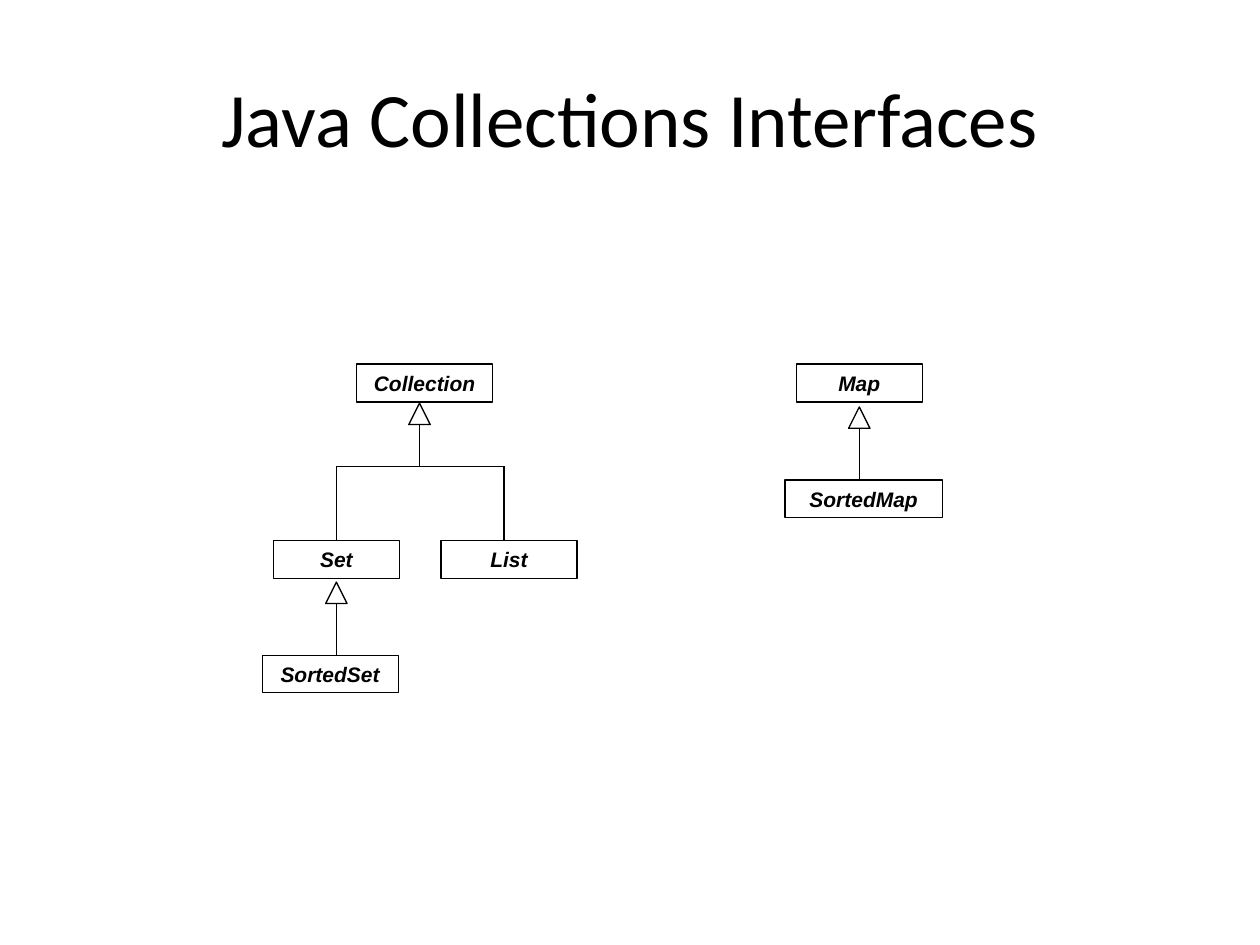
from lxml import etree
from pptx import Presentation
from pptx.dml.color import RGBColor
from pptx.enum.shapes import MSO_CONNECTOR, MSO_SHAPE
from pptx.enum.text import MSO_ANCHOR, MSO_AUTO_SIZE, PP_ALIGN
from pptx.oxml.ns import qn
from pptx.util import Inches, Pt

RECTANGLE = MSO_SHAPE.RECTANGLE
TRIANGLE = MSO_SHAPE.ISOSCELES_TRIANGLE
STRAIGHT = MSO_CONNECTOR.STRAIGHT
CENTER = PP_ALIGN.CENTER
MIDDLE = MSO_ANCHOR.MIDDLE
GROW = MSO_AUTO_SIZE.SHAPE_TO_FIT_TEXT

COLORS = {"ink": "000000"}
INK = RGBColor.from_string(COLORS["ink"])
TITLE_FONT = {"name": "Calibri", "size": Pt(44)}
LABEL_FONT = {"name": "Arial", "size": Pt(12), "bold": True, "italic": True}
BOX_HEIGHT = 0.3
HEAD_SIZE = 0.17


def write_text(shape, text, font_values):
    frame = shape.text_frame
    frame.word_wrap = True
    frame.vertical_anchor = MIDDLE
    paragraph = frame.paragraphs[0]
    paragraph.alignment = CENTER
    run = paragraph.add_run()
    run.text = text
    run.font.color.rgb = INK
    for name, value in font_values.items():
        setattr(run.font, name, value)


def add_outline(kind, left, top, width, height, weight=0.75):
    """Add an unfilled shape with a thin line and no shadow."""
    shape = slide.shapes.add_shape(
        kind, Inches(left), Inches(top), Inches(width), Inches(height))
    shape.shadow.inherit = False
    shape.fill.background()
    shape.line.color.rgb = INK
    shape.line.width = Pt(weight)
    return shape


presentation = Presentation()
presentation.slide_width = Inches(10)
presentation.slide_height = Inches(7.5)
slide = presentation.slides.add_slide(presentation.slide_layouts[5])

title = slide.shapes.title
title.left, title.top = Inches(0.5), Inches(0.3)
title.width, title.height = Inches(9), Inches(1.25)
write_text(title, "Java Collections Interfaces", TITLE_FONT)

# Interface boxes: name, left, top, width, line weight
interfaces = [
    ("Collection", 2.83, 2.89, 1.08, 0.75),
    ("Set", 2.17, 4.29, 1, 0.75),
    ("List", 3.5, 4.29, 1.08, 0.75),
    ("SortedSet", 2.08, 5.2, 1.08, 0.5),
    ("Map", 6.32, 2.89, 1, 0.75),
    ("SortedMap", 6.23, 3.81, 1.25, 0.75),
]
boxes = {}
for name, left, top, width, weight in interfaces:
    box = add_outline(RECTANGLE, left, top, width, BOX_HEIGHT, weight)
    write_text(box, name, LABEL_FONT)
    box.text_frame.auto_size = GROW
    boxes[name] = box

# Inheritance arrows: centre, top of the hollow head, bottom of the stem
lines = []
for center, top, bottom in [(3.33, 3.2, 3.7), (2.67, 4.62, 5.2), (6.82, 3.23, 3.81)]:
    add_outline(TRIANGLE, center - HEAD_SIZE / 2, top, HEAD_SIZE, HEAD_SIZE)
    lines.append((center, top + HEAD_SIZE, center, bottom, None))

# Branch from Collection down to Set and List
lines += [
    (2.67, 3.7, 4, 3.7, None),
    (2.67, 3.7, 2.67, 4.29, "Set"),
    (4, 3.7, 4, 4.29, None),
]
for x1, y1, x2, y2, target in lines:
    connector = slide.shapes.add_connector(
        STRAIGHT, Inches(x1), Inches(y1), Inches(x2), Inches(y2))
    connector.line.color.rgb = INK
    connector.line.width = Pt(0.75)
    etree.SubElement(connector._element.spPr, qn("a:effectLst"))
    if target:
        connector.end_connect(boxes[target], 0)

presentation.save("out.pptx")
